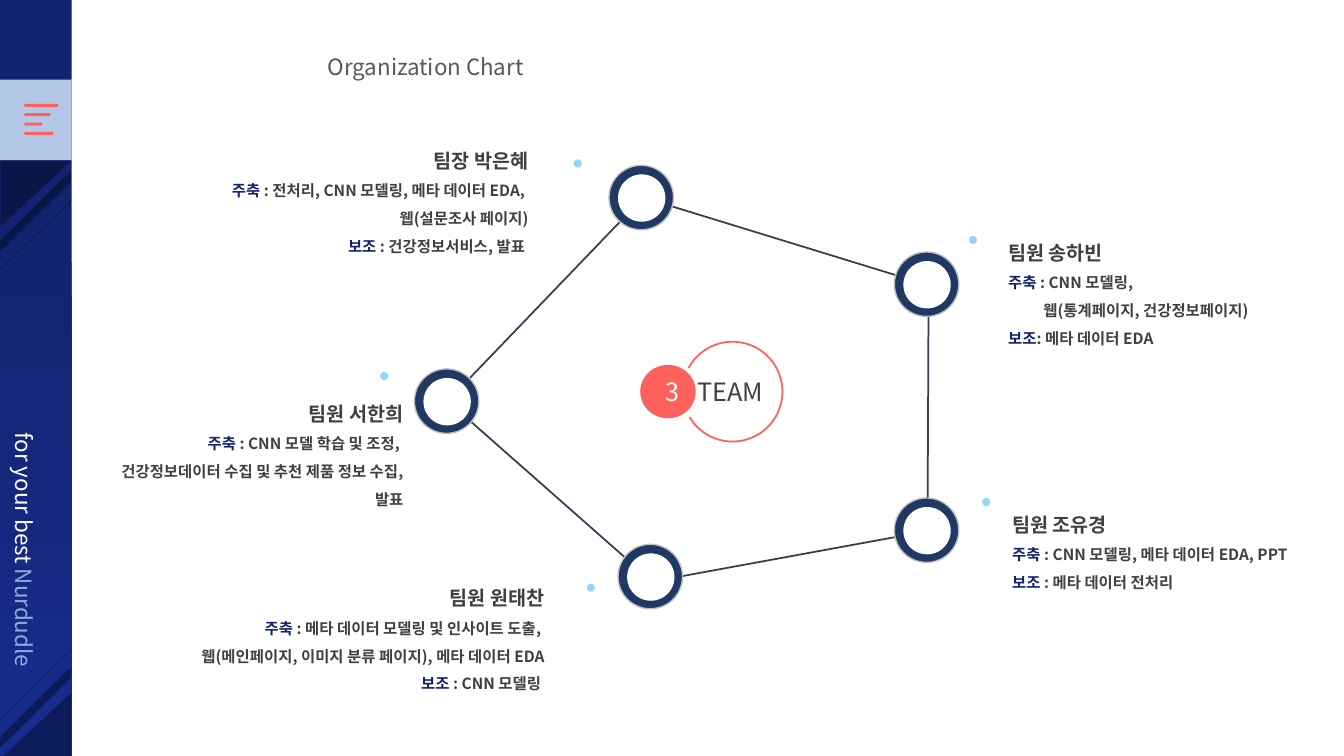
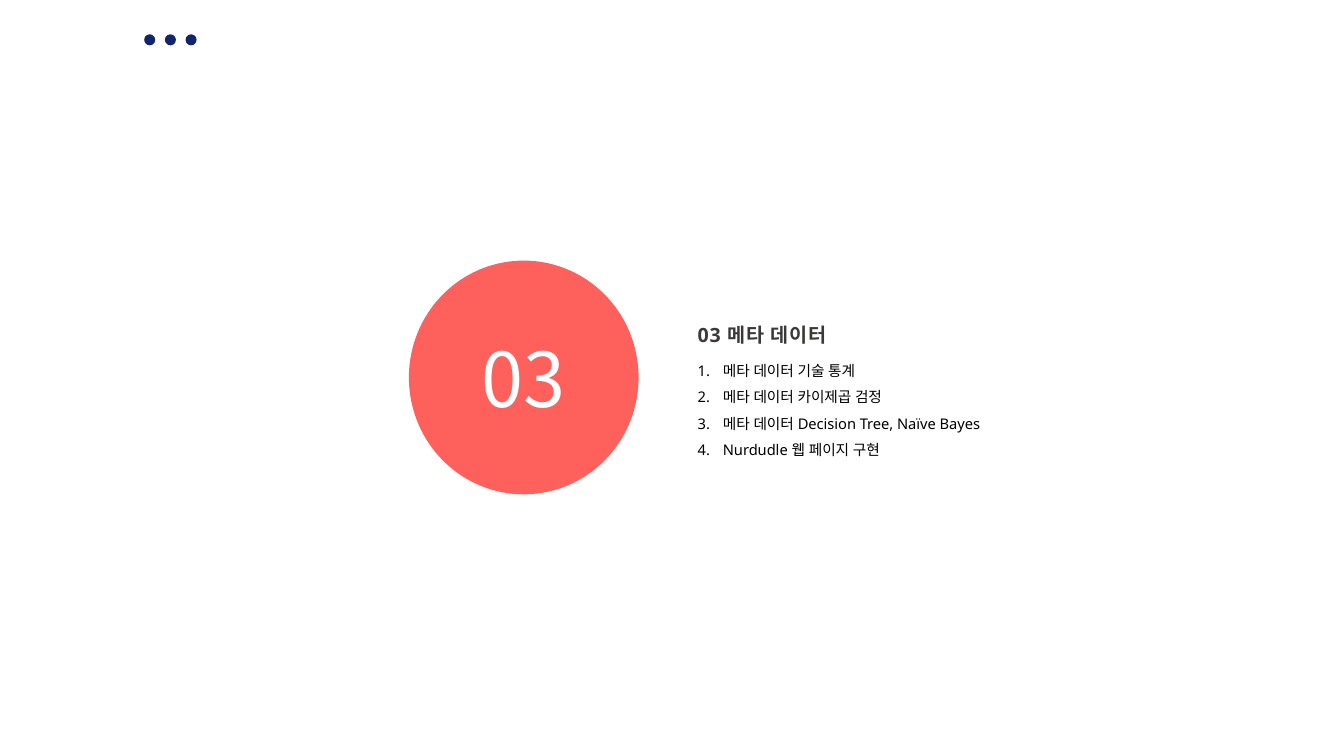
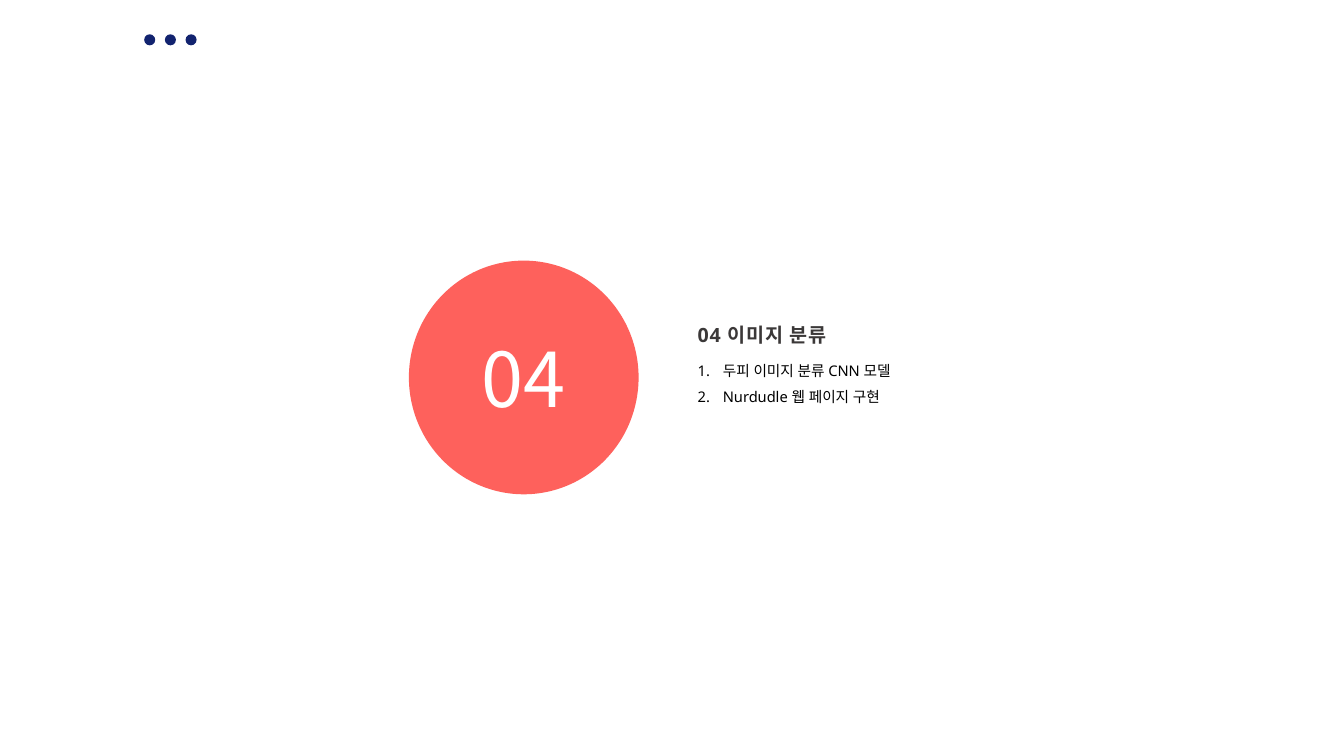
import pptx
import pptx.dml.color
import pptx.enum.shapes
import pptx.enum.text
import pptx.oxml.ns
import pptx.util
from lxml import etree

Inches = pptx.util.Inches
Pt = pptx.util.Pt
color = pptx.dml.color.RGBColor.from_string
qn = pptx.oxml.ns.qn
SHAPE = pptx.enum.shapes.MSO_SHAPE
ALIGN = pptx.enum.text.PP_ALIGN
ANCHOR = pptx.enum.text.MSO_ANCHOR
FIT = pptx.enum.text.MSO_AUTO_SIZE

# Shared colours and fonts
NAVY, CORAL, SKY, DARK, WHITE = "12236F", "FE615C", "93D6FD", "404040", "FFFFFF"
CJK, SANS = "Noto Sans CJK KR", "Noto Sans"


def draw(page, kind, left, top, width, height, fill=None, line=None, weight=1.0):
    shape = page.shapes.add_shape(
        kind, Inches(left), Inches(top), Inches(width), Inches(height))
    shape.shadow.inherit = False
    if fill:
        shape.fill.solid()
        shape.fill.fore_color.rgb = color(fill)
    else:
        shape.fill.background()
    if line:
        shape.line.color.rgb = color(line)
        shape.line.width = Pt(weight)
    else:
        shape.line.fill.background()
    return shape


def write(box, lines, font=CJK, align=ALIGN.LEFT, spacing=1.0, bold=False):
    """Fill a box with lines, each a size and a list of (text, colour) runs."""
    frame = box.text_frame
    for number, (size, runs) in enumerate(lines):
        para = frame.add_paragraph() if number else frame.paragraphs[0]
        para.alignment = align
        para.line_spacing = spacing
        para.space_before = Pt(0)
        for text, hue in runs:
            span = para.add_run()
            span.text = text
            span.font.name = font
            span.font.size = Pt(size)
            span.font.bold = bold
            span.font.color.rgb = color(hue)
            etree.SubElement(span.font._element, qn("a:ea"), typeface=font)
    return frame


deck = pptx.Presentation()
deck.slide_width, deck.slide_height = Inches(13.33), Inches(7.5)

# Slide 1: organization chart
page = deck.slides.add_slide(deck.slide_layouts[5])
title = page.shapes.title
title.left, title.top, title.width, title.height = map(Inches, (3.15, 0.48, 3.07, 0.37))
frame = write(title, [(16, [("Organization Chart", "595959")])])
frame.vertical_anchor = ANCHOR.TOP
frame.auto_size = FIT.SHAPE_TO_FIT_TEXT

# Pentagon joining the members
corners = [(Inches(x), Inches(y)) for x, y in
           [(6.38, 1.96), (9.21, 2.83), (9.2, 5.27), (6.47, 5.77), (4.44, 3.98)]]
builder = page.shapes.build_freeform(*corners[0])
builder.add_line_segments(corners[1:], close=True)
pentagon = builder.convert_to_shape()
pentagon.shadow.inherit = False
pentagon.fill.background()
pentagon.line.color.rgb = color("333F50")
pentagon.line.width = Pt(1.25)

# Side band with menu icon
band = draw(page, SHAPE.RECTANGLE, 0, 0, 0.71, 7.5)
band.fill.gradient()
band.fill.gradient_angle = 270
for stop, (position, hue) in zip(band.fill.gradient_stops, [(0.3, NAVY), (1, "172C8D")]):
    stop.position = position
    stop.color.rgb = color(hue)
draw(page, SHAPE.RECTANGLE, 0, 0.79, 0.71, 0.8, "B4C7E7")
for row, width in enumerate([0.34, 0.26, 0.18, 0.29]):
    bar = draw(page, SHAPE.ROUNDED_RECTANGLE, 0.24, 1.03 + row * 0.093, width, 0.03, CORAL)
    bar.adjustments[0] = 0.5

# Translucent stripes, turned half round at the foot of the band
for kind, left, top, width, turn in [(SHAPE.RIGHT_TRIANGLE, 0.03, 1.57, 0.65, 90),
                                     (SHAPE.PARALLELOGRAM, -0.05, 1.75, 0.8, 270),
                                     (SHAPE.PARALLELOGRAM, 0.01, 1.98, 0.69, 270)]:
    for y, angle in [(top, turn), (9.12 - top - 0.7, (turn + 180) % 360)]:
        stripe = draw(page, kind, left, y, width, 0.7, "000000")
        stripe.rotation = angle
        if kind == SHAPE.PARALLELOGRAM:
            stripe.adjustments[0] = 0.987
            stripe.element.spPr.find(qn("a:xfrm")).set("flipV", "1")
        hue = stripe.element.spPr.find(qn("a:solidFill"))[0]
        etree.SubElement(hue, qn("a:alpha"), val="35000")

# Motto along the band
motto = page.shapes.add_textbox(Inches(-1.92), Inches(5.23), Inches(4.5), Inches(0.45))
motto.rotation = 90
frame = write(motto, [(16, [("for your best ", WHITE), ("Nurdudle", "8FAADC")])],
              align=ALIGN.CENTER, spacing=1.5)
frame.word_wrap = True
frame.auto_size = FIT.SHAPE_TO_FIT_TEXT

# Members: node, dot, text box, alignment, name, (label, duty) lines
members = [
    ((6.04, 1.64), (5.69, 1.58), (1.25, 1.31, 4.09, 1.25), ALIGN.RIGHT, "팀장 박은혜",
     [("주축 ", ": 전처리, CNN 모델링, 메타 데이터 EDA, "),
      ("", "웹(설문조사 페이지)"),
      ("보조 ", ": 건강정보서비스, 발표 ")]),
    ((8.87, 2.5), (9.61, 2.34), (9.9, 2.22, 3.58, 1.25), ALIGN.LEFT, "팀원 송하빈",
     [("주축 ", ": CNN 모델링,"),
      ("", "웹(통계페이지, 건강정보페이지)"),
      ("보조", ": 메타 데이터 EDA")]),
    ((8.87, 4.94), (9.74, 4.94), (9.94, 4.92, 3.58, 0.97), ALIGN.LEFT, "팀원 조유경",
     [("주축 ", ": CNN 모델링, 메타 데이터 EDA, PPT"),
      ("보조 ", ": 메타 데이터 전처리")]),
    ((6.13, 5.4), (5.82, 5.79), (1.41, 5.65, 4.09, 1.25), ALIGN.RIGHT, "팀원 원태찬",
     [("주축 ", ": 메타 데이터 모델링 및 인사이트 도출, "),
      ("", "웹(메인페이지, 이미지 분류 페이지), 메타 데이터 EDA"),
      ("보조 ", ": CNN 모델링 ")]),
    ((4.11, 3.66), (3.77, 3.69), (0.81, 3.82, 3.29, 1.25), ALIGN.RIGHT, "팀원 서한희",
     [("주축 ", ": CNN 모델 학습 및 조정, "),
      ("", "건강정보데이터 수집 및 추천 제품 정보 수집,"),
      ("", "발표")]),
]
for (x, y), dot, area, align, name, duties in members:
    draw(page, SHAPE.OVAL, x, y, 0.64, 0.64, "203864", "BFBFBF")
    draw(page, SHAPE.OVAL, x + 0.09, y + 0.09, 0.47, 0.47, WHITE)
    draw(page, SHAPE.OVAL, *dot, 0.08, 0.08, SKY)
    box = page.shapes.add_textbox(*map(Inches, area))
    lines = [(14, [(name, DARK)])]
    for label, duty in duties:
        lines.append((11, [(label, NAVY), (duty, DARK)] if label else [(duty, DARK)]))
    frame = write(box, lines, align=align, spacing=1.5, bold=True)
    frame.word_wrap = True
    frame.auto_size = FIT.SHAPE_TO_FIT_TEXT
    for para, (label, duty) in zip(frame.paragraphs[1:], duties):
        if align == ALIGN.LEFT and not label:
            para._p.get_or_add_pPr().set("marL", str(Inches(0.35)))

# Team badge in the middle
ring = draw(page, SHAPE.ARC, 6.77, 3.39, 0.99, 0.99, None, CORAL, 1.25)
ring.adjustments[0], ring.adjustments[1] = 125.04, 89.67
badge = draw(page, SHAPE.OVAL, 6.35, 3.62, 0.55, 0.53, CORAL)
frame = write(badge, [(18, [("3", WHITE)])], align=ALIGN.CENTER)
frame.word_wrap = False
frame.margin_left, frame.margin_right = Inches(0.1), 0
frame.margin_top = frame.margin_bottom = 0
team = page.shapes.add_textbox(Inches(6.64), Inches(3.68), Inches(1.2), Inches(0.4))
frame = write(team, [(18, [("TEAM", DARK)])], align=ALIGN.CENTER)
frame.word_wrap = True
frame.margin_left = frame.margin_right = 0

# Slides 2 and 3: section openers
sections = [
    ("03", "메타 데이터",
     ["메타 데이터 기술 통계", "메타 데이터 카이제곱 검정",
      "메타 데이터 Decision Tree, Naïve Bayes", "Nurdudle 웹 페이지 구현"]),
    ("04", "이미지 분류",
     ["두피 이미지 분류 CNN 모델", "Nurdudle 웹 페이지 구현"]),
]
for number, heading, topics in sections:
    page = deck.slides.add_slide(deck.slide_layouts[1])
    for column in range(3):
        draw(page, SHAPE.OVAL, 1.43 + column * 0.205, 0.34, 0.11, 0.11, NAVY)
    disc = draw(page, SHAPE.OVAL, 4.08, 2.61, 2.23, 2.27, CORAL, CORAL, 3.5)
    write(disc, [(54, [(number, WHITE)])], align=ALIGN.CENTER)

    title, body = page.placeholders
    title.left, title.top, title.width, title.height = map(Inches, (6.82, 3.04, 2.57, 0.41))
    write(title, [(14, [(f"{number} {heading}", "3B3838")])], SANS, spacing=1.5, bold=True)
    title.text_frame.paragraphs[0].runs[0].font._element.set("spc", "50")

    body.left, body.top, body.width, body.height = map(
        Inches, (6.82, 3.45, 4.41, 0.07 + 0.265 * len(topics)))
    write(body, [(10.5, [(topic, "000000")]) for topic in topics], SANS, spacing=1.5)
    for para in body.text_frame.paragraphs:
        indent = para._p.get_or_add_pPr()
        indent.set("marL", str(Inches(0.25)))
        indent.set("indent", str(Inches(-0.25)))
        etree.SubElement(indent, qn("a:buFont"), typeface="+mj-lt")
        etree.SubElement(indent, qn("a:buAutoNum"), type="arabicPeriod")
    for box in (title, body):
        box.text_frame.vertical_anchor = ANCHOR.TOP
        box.text_frame.auto_size = FIT.SHAPE_TO_FIT_TEXT

deck.save("out.pptx")
